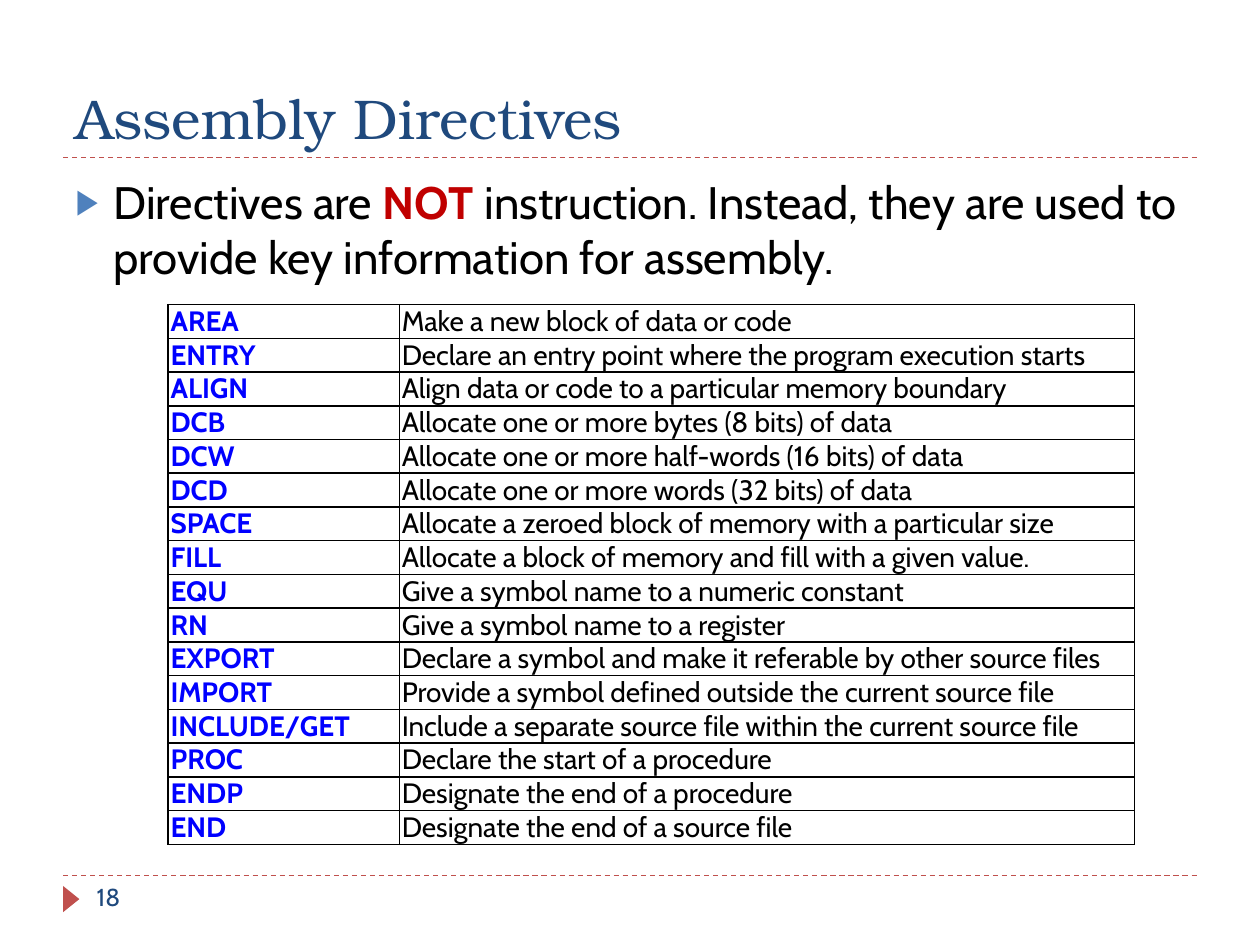
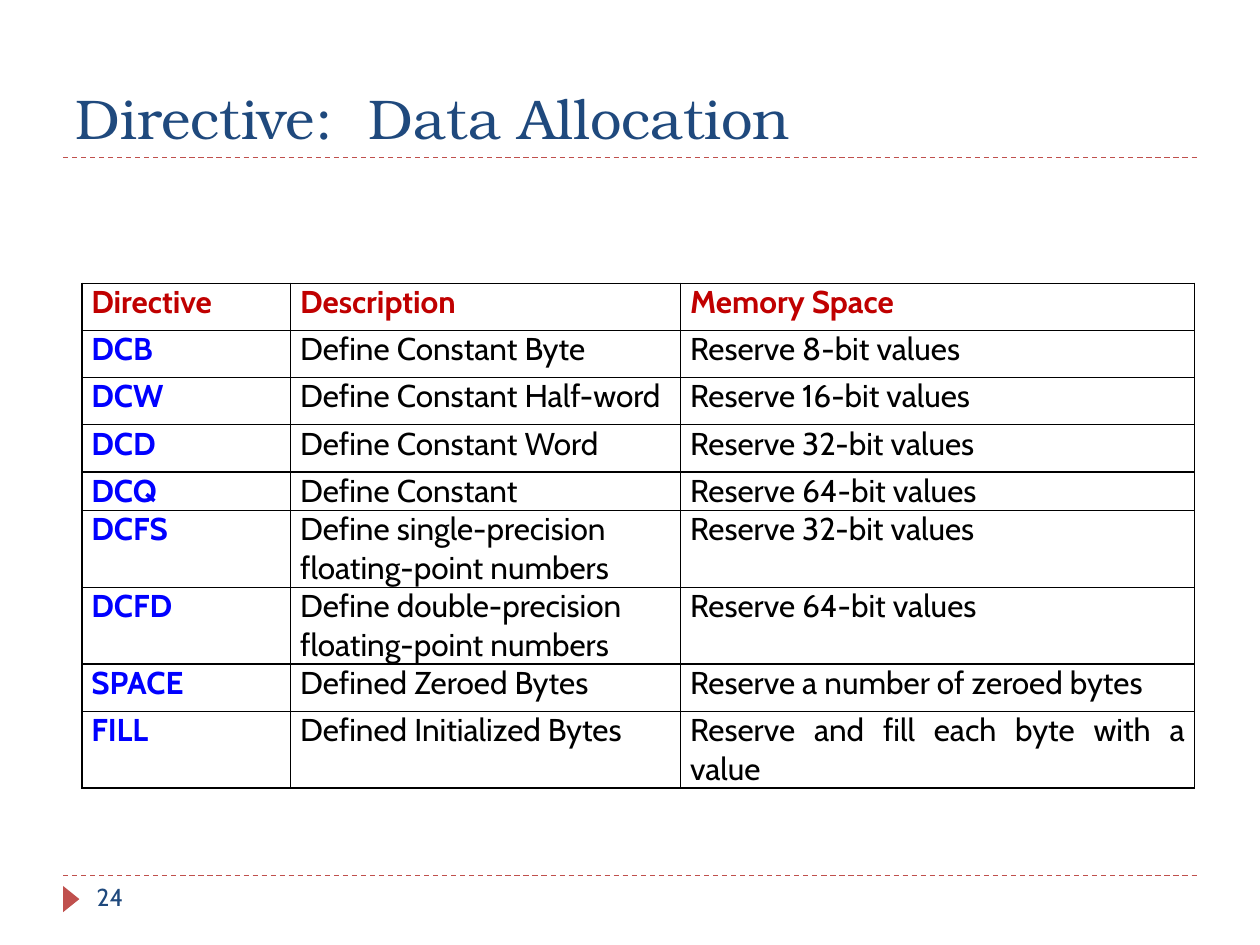
from lxml.etree import SubElement
from pptx import Presentation
from pptx.dml.color import RGBColor
from pptx.enum.dml import MSO_LINE
from pptx.enum.shapes import MSO_CONNECTOR, MSO_SHAPE
from pptx.enum.text import MSO_ANCHOR, MSO_AUTO_SIZE, PP_ALIGN
from pptx.oxml.ns import qn
from pptx.util import Cm, Pt

BODY_FONT, TITLE_FONT = "Cabin", "TeX Gyre Bonum"
NAVY, BRICK, STEEL = "1F497D", "C0504D", "4F81BD"
BLACK, BLUE, RED = "000000", "0000FF", "C00000"
MARGIN, CONTENT_WIDTH = 1.27, 22.86
LAYOUT_CONTENT, LAYOUT_TITLE_ONLY = 1, 5

DIRECTIVES = [
    ("AREA", "Make a new block of data or code"),
    ("ENTRY", "Declare an entry point where the program execution starts"),
    ("ALIGN", "Align data or code to a particular memory boundary"),
    ("DCB", "Allocate one or more bytes (8 bits) of data"),
    ("DCW", "Allocate one or more half-words (16 bits) of data"),
    ("DCD", "Allocate one or more words (32 bits) of data"),
    ("SPACE", "Allocate a zeroed block of memory with a particular size"),
    ("FILL", "Allocate a block of memory and fill with a given value."),
    ("EQU", "Give a symbol name to a numeric constant"),
    ("RN", "Give a symbol name to a register"),
    ("EXPORT", "Declare a symbol and make it referable by other source files"),
    ("IMPORT", "Provide a symbol defined outside the current source file"),
    ("INCLUDE/GET", "Include a separate source file within the current source file"),
    ("PROC", "Declare the start of a procedure"),
    ("ENDP", "Designate the end of a procedure"),
    ("END", "Designate the end of a source file"),
]

ALLOCATIONS = [
    ("Directive", "Description", "Memory Space"),
    ("DCB", "Define Constant Byte", "Reserve 8-bit values"),
    ("DCW", "Define Constant Half-word", "Reserve 16-bit values"),
    ("DCD", "Define Constant Word", "Reserve 32-bit values"),
    ("DCQ", "Define Constant", "Reserve 64-bit values"),
    ("DCFS", "Define single-precision floating-point numbers", "Reserve 32-bit values"),
    ("DCFD", "Define double-precision floating-point numbers", "Reserve 64-bit values"),
    ("SPACE", "Defined Zeroed Bytes", "Reserve a number of zeroed bytes"),
    ("FILL", "Defined Initialized Bytes", "Reserve and fill each byte with a value"),
]


def color(hex_value):
    """Turn a hex string into a colour."""
    return RGBColor.from_string(hex_value)


def style_font(font, size, hex_value, name=BODY_FONT, bold=False):
    """Set the typeface, size, colour and weight of a font."""
    font.name, font.size, font.bold = name, Pt(size), bold
    font.color.rgb = color(hex_value)


def place(shape, left, top, width, height):
    """Move and size a shape, in centimetres."""
    shape.left, shape.top = Cm(left), Cm(top)
    shape.width, shape.height = Cm(width), Cm(height)


def add_rule(slide, top):
    """Draw a dashed rule across the content width."""
    rule = slide.shapes.add_connector(
        MSO_CONNECTOR.STRAIGHT, Cm(MARGIN), Cm(top), Cm(MARGIN + CONTENT_WIDTH), Cm(top))
    rule.line.color.rgb = color(BRICK)
    rule.line.width = Pt(0.75)
    rule.line.dash_style = MSO_LINE.DASH
    SubElement(rule._element.spPr, qn("a:effectLst"))


def add_footer(slide, number, top):
    """Draw the rule, marker and slide number at the foot."""
    add_rule(slide, top)
    marker = slide.shapes.add_shape(
        MSO_SHAPE.ISOSCELES_TRIANGLE, Cm(1.17), Cm(top + 0.31), Cm(0.53), Cm(0.33))
    marker.rotation = 90
    marker.shadow.inherit = False
    marker.fill.solid()
    marker.fill.fore_color.rgb = color(BRICK)
    marker.line.fill.background()
    number_box = slide.shapes.add_textbox(Cm(1.7), Cm(top), Cm(5.51), Cm(1.02))
    number_box.text_frame.word_wrap = True
    paragraph = number_box.text_frame.paragraphs[0]
    paragraph.text = str(number)
    style_font(paragraph.font, 14, NAVY)


def add_base_slide(presentation, layout, title, number):
    """Add a slide with its title, rules and footer."""
    slide = presentation.slides.add_slide(presentation.slide_layouts[layout])
    heading = slide.shapes.title
    place(heading, MARGIN, 0.43, CONTENT_WIDTH, 2.74)
    frame = heading.text_frame
    frame.text = title
    frame.auto_size = MSO_AUTO_SIZE.NONE
    frame.vertical_anchor = MSO_ANCHOR.BOTTOM
    paragraph = frame.paragraphs[0]
    paragraph.alignment = PP_ALIGN.LEFT
    style_font(paragraph.font, 32, NAVY, TITLE_FONT)
    add_rule(slide, 3.17)
    add_footer(slide, number, 17.65)
    return slide


def set_bullet(paragraph, character, hex_value, percent, indent):
    """Give a paragraph a coloured bullet with a hanging indent."""
    properties = paragraph._p.get_or_add_pPr()
    properties.set("marL", str(Cm(indent)))
    properties.set("indent", str(-Cm(indent)))
    bullet_color = SubElement(properties, qn("a:buClr"))
    SubElement(bullet_color, qn("a:srgbClr"), val=hex_value)
    SubElement(properties, qn("a:buSzPct"), val=str(percent * 1000))
    SubElement(properties, qn("a:buChar"), char=character)


def fill_body(body, runs):
    """Write one bulleted paragraph of (text, emphasised) runs."""
    place(body, MARGIN, 3.38, CONTENT_WIDTH, 13.72)
    body.text_frame.auto_size = MSO_AUTO_SIZE.NONE
    paragraph = body.text_frame.paragraphs[0]
    set_bullet(paragraph, "▶", STEEL, 76, 0.76)
    paragraph.space_before = Pt(0)
    style_font(paragraph.font, 26, BLACK)
    for text, emphasised in runs:
        run = paragraph.add_run()
        run.text = text
        if emphasised:
            run.font.bold = True
            run.font.color.rgb = color(RED)


def set_borders(cell):
    """Outline a cell with thin black lines."""
    properties = cell._tc.get_or_add_tcPr()
    for side in ("lnL", "lnR", "lnT", "lnB"):
        line = SubElement(properties, qn(f"a:{side}"), w=str(Pt(1)))
        fill = SubElement(line, qn("a:solidFill"))
        SubElement(fill, qn("a:srgbClr"), val=BLACK)


def add_grid(slide, left, top, rows, widths, heights, size, inset, has_header=False):
    """Add a ruled table whose first column holds bold blue keywords."""
    table = slide.shapes.add_table(
        len(rows), len(widths), Cm(left), Cm(top), Cm(sum(widths)), Cm(sum(heights))).table
    table.first_row = table.horz_banding = False
    for column, width in zip(table.columns, widths):
        column.width = Cm(width)
    for row_index, (texts, height) in enumerate(zip(rows, heights)):
        table.rows[row_index].height = Cm(height)
        is_header = has_header and row_index == 0
        for column_index, text in enumerate(texts):
            cell = table.cell(row_index, column_index)
            set_borders(cell)
            cell.fill.background()
            cell.margin_left = cell.margin_right = Cm(inset)
            cell.margin_top = cell.margin_bottom = 0
            paragraph = cell.text_frame.paragraphs[0]
            paragraph.text = text
            is_wrapped_name = "floating-point" in text
            paragraph.alignment = PP_ALIGN.LEFT if is_wrapped_name else PP_ALIGN.JUSTIFY
            is_keyword = column_index == 0
            ink = RED if is_header else BLUE if is_keyword else BLACK
            style_font(paragraph.font, size, ink, bold=is_header or is_keyword)


def build_directives_slide(presentation):
    """Build the overview of assembly directives."""
    slide = add_base_slide(presentation, LAYOUT_CONTENT, "Assembly Directives", 18)
    fill_body(slide.placeholders[1], [
        ("Directives are ", False),
        ("NOT", True),
        (" instruction. Instead, they are used to provide key information for assembly.", False),
    ])
    add_grid(slide, 3.39, 6.14, DIRECTIVES, widths=[4.66, 14.82],
             heights=[0.68] * len(DIRECTIVES), size=16, inset=0.05)


def build_allocation_slide(presentation):
    """Build the table of data allocation directives."""
    slide = add_base_slide(presentation, LAYOUT_TITLE_ONLY, "Directive:  Data Allocation", 24)
    single, tight, double = 0.95, 0.78, 1.55
    heights = [single] * 4 + [tight, double, double, single, double]
    add_grid(slide, 1.65, 5.71, ALLOCATIONS, widths=[4.21, 7.86, 10.36],
             heights=heights, size=18, inset=0.19, has_header=True)


def main():
    """Build and save the presentation."""
    presentation = Presentation()
    presentation.slide_width, presentation.slide_height = Cm(25.4), Cm(19.05)
    build_directives_slide(presentation)
    build_allocation_slide(presentation)
    presentation.save("out.pptx")


if __name__ == "__main__":
    main()
